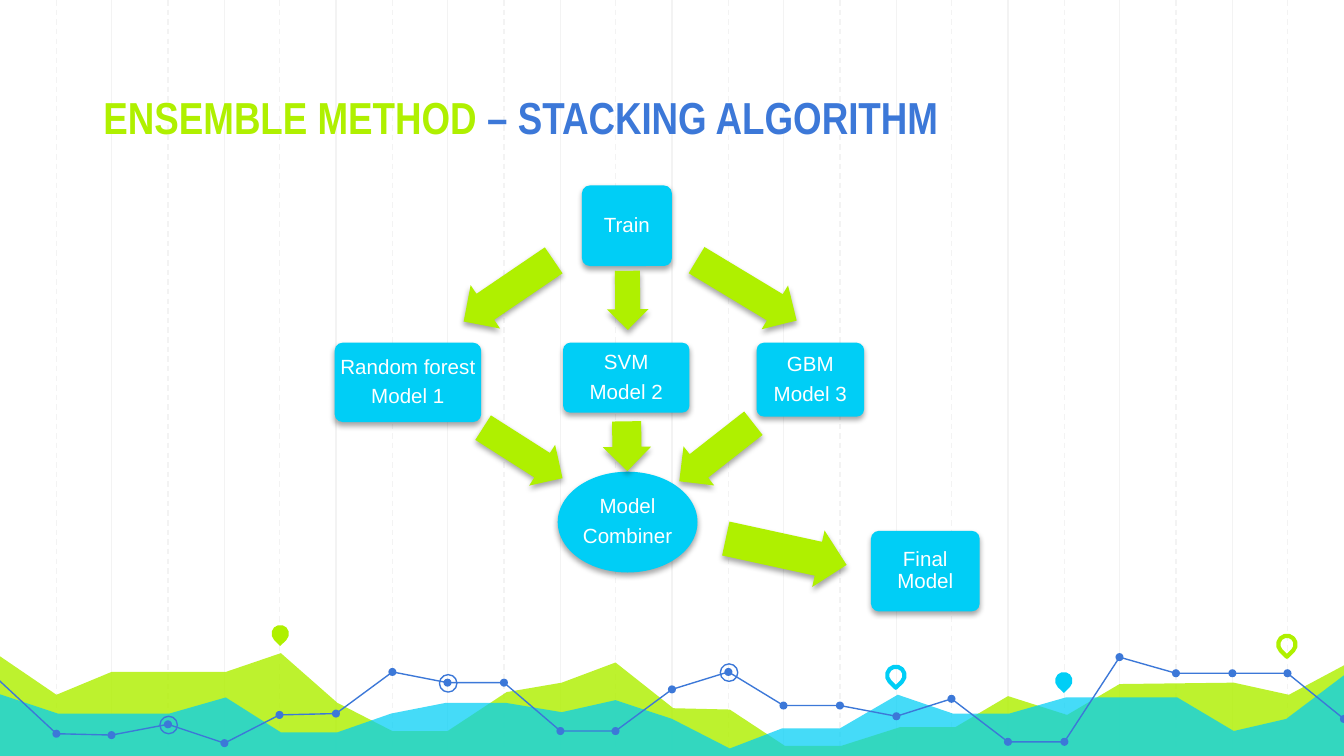
from lxml import etree
from pptx import Presentation
from pptx.dml.color import RGBColor
from pptx.enum.dml import MSO_LINE
from pptx.enum.shapes import MSO_CONNECTOR, MSO_SHAPE
from pptx.enum.text import MSO_ANCHOR, MSO_AUTO_SIZE, PP_ALIGN
from pptx.oxml.ns import qn
from pptx.util import Pt

PX = 9144
WIDTH = 1000
SLIDE_WIDTH = WIDTH * PX
SLIDE_HEIGHT = SLIDE_WIDTH * 9 // 16
DASH = MSO_LINE.DASH
STRAIGHT = MSO_CONNECTOR.STRAIGHT
ELLIPSE, TEARDROP = MSO_SHAPE.OVAL, MSO_SHAPE.TEAR
BOX, ARROW = MSO_SHAPE.ROUNDED_RECTANGLE, MSO_SHAPE.LEFT_ARROW
CENTER, LEFT, MIDDLE = PP_ALIGN.CENTER, PP_ALIGN.LEFT, MSO_ANCHOR.MIDDLE
NO_FIT = MSO_AUTO_SIZE.NONE
FIT_SHAPE = MSO_AUTO_SIZE.SHAPE_TO_FIT_TEXT
GREEN, CYAN, BLUE, GRAY, WHITE = "AFF000", "00CEF6", "3C78D8", "F3F3F3", "FFFFFF"

NODE_FRAME = dict(word_wrap=True, auto_size=NO_FIT, vertical_anchor=MIDDLE,
                  margin_left=PX, margin_right=PX, margin_top=PX, margin_bottom=PX)
NODE_PARAGRAPH = dict(alignment=CENTER, line_spacing=0.9, space_after=Pt(4))
NODE_FONT = dict(name="Arial", size=Pt(11))
TITLE_FRAME = dict(word_wrap=False, auto_size=FIT_SHAPE, vertical_anchor=MIDDLE)
TITLE_FONT = dict(name="Arial Narrow", size=Pt(24), bold=True)

GREEN_AREA = [
    (-2, 487), (42, 517), (83, 500), (168, 500), (209, 486), (251, 523), (292, 544),
    (333, 544), (377, 515), (418, 508), (458, 493), (501, 527), (543, 528), (584, 555),
    (626, 555), (670, 541), (711, 541), (750, 518), (794, 532), (833, 509), (918, 508),
    (959, 517), (1002, 494), (1001, 564), (-3, 564)]
CYAN_AREA = [
    (-2, 516), (43, 531), (126, 531), (168, 519), (209, 545), (251, 545), (291, 531),
    (332, 523), (376, 523), (418, 530), (458, 521), (500, 535), (543, 557), (582, 542),
    (625, 542), (668, 517), (709, 531), (751, 531), (793, 519), (876, 519), (918, 544),
    (957, 535), (1002, 501), (1002, 565), (-3, 565)]
DOT_HEIGHTS = [546, 547, 539, 553, 532, 531, 500, 508, 508, 544, 544, 513,
               500, 525, 525, 533, 520, 552, 552, 489, 501, 501, 501, 535]
LINE_SECTIONS = [(0, 12), (11, 21), (20, 25)]
RINGED_DOTS = [8, 3, 13]
PINS = [(202, 465, GREEN, True), (660, 496, CYAN, False),
        (785, 500, CYAN, True), (951, 473, GREEN, False)]

NODES = [
    (ELLIPSE, (415, 351, 104, 75), ["Model", "Combiner"]),
    (BOX, (249, 255, 109, 59), ["Random forest", "Model 1"]),
    (BOX, (419, 255, 94, 52), ["SVM", "Model 2"]),
    (BOX, (563, 255, 80, 55), ["GBM", "Model 3"]),
    (BOX, (433, 138, 67, 60), ["Train"]),
    (BOX, (648, 395, 81, 60), ["Final Model"])]
ARROWS = [
    ((354, 319, 70, 36), 212.5), ((448, 314, 37, 36), 269.2),
    ((498, 318, 70, 37), 321.9), ((445, 208, 44, 31), 269.6),
    ((539, 389, 92, 43), 192.3), ((338, 197, 81, 39), 325.8),
    ((512, 197, 87, 38), 211.1)]


def color(value):
    return RGBColor.from_string(value)


def apply_format(target, values):
    for name, value in values.items():
        setattr(target, name, value)


def paint(shape, fill=None, line=None, weight=0.75):
    shape.shadow.inherit = False
    if fill:
        shape.fill.solid()
        shape.fill.fore_color.rgb = color(fill)
    else:
        shape.fill.background()
    if line:
        shape.line.color.rgb = color(line)
        shape.line.width = Pt(weight)
    else:
        shape.line.fill.background()


def add_shape(slide, kind, box, adjustments=(), rotation=0, **look):
    shape = slide.shapes.add_shape(kind, *[value * PX for value in box])
    for index, value in enumerate(adjustments):
        shape.adjustments[index] = value
    shape.rotation = rotation
    paint(shape, **look)
    return shape


def add_outline(slide, points, closed, **look):
    builder = slide.shapes.build_freeform(*points[0], scale=PX)
    builder.add_line_segments(points[1:], close=closed)
    shape = builder.convert_to_shape()
    paint(shape, **look)
    return shape


def add_alpha(color_element, percent):
    etree.SubElement(color_element, qn("a:alpha"), val=str(percent * 1000))


def add_area(slide, points, fill, opacity):
    area = add_outline(slide, points, True, fill=fill)
    add_alpha(area.element.spPr.find(".//" + qn("a:srgbClr")), opacity)


def add_shadow(shape):
    effects = shape.element.spPr.find(qn("a:effectLst"))
    shadow = etree.SubElement(
        effects, qn("a:outerShdw"), blurRad=str(Pt(3.1)), dist=str(Pt(1.8)),
        dir="5400000", rotWithShape="0")
    add_alpha(etree.SubElement(shadow, qn("a:srgbClr"), val="000000"), 35)


def add_grid_line(slide, x, dashed):
    connector = slide.shapes.add_connector(STRAIGHT, x * PX, 0, x * PX, SLIDE_HEIGHT)
    connector.line.color.rgb = color(GRAY)
    connector.line.width = Pt(0.75)
    if dashed:
        connector.line.dash_style = DASH
    etree.SubElement(connector.element.spPr, qn("a:effectLst"))


def add_run(paragraph, text, font_format, font_color):
    run = paragraph.add_run()
    run.text = text
    apply_format(run.font, font_format)
    run.font.color.rgb = color(font_color)


def add_node(slide, kind, box, lines):
    node = add_shape(slide, kind, box, [0.1] if kind == BOX else [], fill=CYAN)
    add_shadow(node)
    frame = node.text_frame
    apply_format(frame, NODE_FRAME)
    for index, text in enumerate(lines):
        paragraph = frame.add_paragraph() if index else frame.paragraphs[0]
        apply_format(paragraph, NODE_PARAGRAPH)
        add_run(paragraph, text, NODE_FONT, WHITE)


def add_background(slide):
    columns = [round(index * WIDTH / 24) for index in range(25)]
    for x in columns[2:24:2]:
        add_grid_line(slide, x, False)
    for x in columns[1::2]:
        add_grid_line(slide, x, True)
    add_area(slide, GREEN_AREA, GREEN, 82)
    add_area(slide, CYAN_AREA, CYAN, 73)
    points = [(-1, 506)] + list(zip(columns[1:], DOT_HEIGHTS))
    for start, end in LINE_SECTIONS:
        add_outline(slide, points[start:end], False, line=BLUE)
    for x, y in points[1:]:
        add_shape(slide, ELLIPSE, (x - 3, y - 3, 6, 6), fill=BLUE)
    for index in RINGED_DOTS:
        x, y = points[index]
        add_shape(slide, ELLIPSE, (x - 6, y - 6, 13, 13), line=BLUE)
    for x, y, pin_color, filled in PINS:
        look = dict(fill=pin_color) if filled else dict(line=pin_color, weight=2.25)
        add_shape(slide, TEARDROP, (x, y, 13, 13), [1], 135, **look)


def add_title(slide):
    title = slide.shapes.title
    apply_format(title, dict(left=67 * PX, top=62 * PX, width=807 * PX, height=50 * PX))
    apply_format(title.text_frame, TITLE_FRAME)
    paragraph = title.text_frame.paragraphs[0]
    paragraph.alignment = LEFT
    add_run(paragraph, "ENSEMBLE METHOD ", TITLE_FONT, GREEN)
    add_run(paragraph, "– STACKING ALGORITHM", TITLE_FONT, BLUE)
    title.element.getparent().append(title.element)


def main():
    presentation = Presentation()
    apply_format(presentation, dict(slide_width=SLIDE_WIDTH, slide_height=SLIDE_HEIGHT))
    slide = presentation.slides.add_slide(presentation.slide_layouts[5])
    add_background(slide)
    for kind, box, lines in NODES:
        add_node(slide, kind, box, lines)
    for box, rotation in ARROWS:
        add_shadow(add_shape(slide, ARROW, box, [0.6, 0.5], rotation, fill=GREEN))
    add_title(slide)
    presentation.save("out.pptx")


if __name__ == "__main__":
    main()
